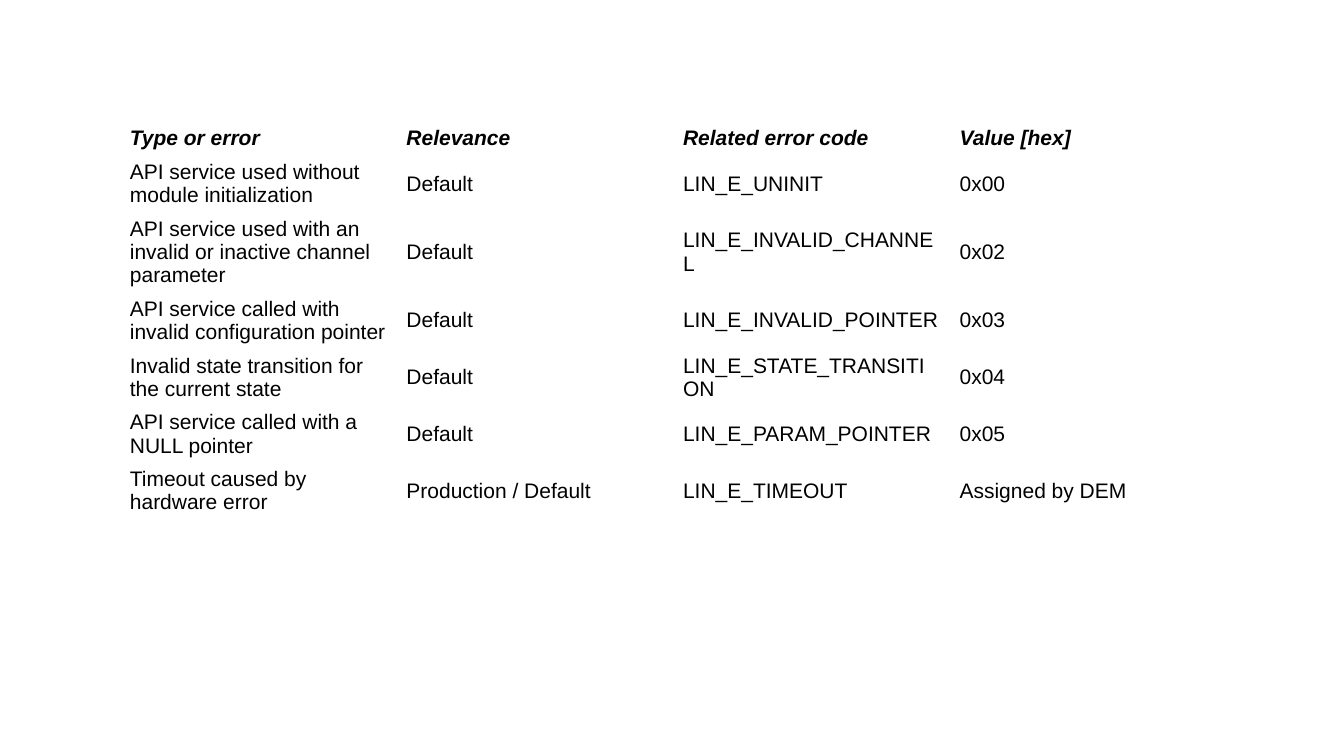
from pptx import Presentation
from pptx.dml.color import RGBColor
from pptx.enum.text import MSO_ANCHOR
from pptx.util import Cm, Pt

COLORS = {"text": "000000"}
ERRORS = [
    ("Type or error", "Relevance", "Related error code", "Value [hex]"),
    ("API service used without module initialization", "Default", "LIN_E_UNINIT", "0x00"),
    ("API service used with an invalid or inactive channel parameter", "Default",
     "LIN_E_INVALID_CHANNEL", "0x02"),
    ("API service called with invalid configuration pointer", "Default",
     "LIN_E_INVALID_POINTER", "0x03"),
    ("Invalid state transition for the current state", "Default",
     "LIN_E_STATE_TRANSITION", "0x04"),
    ("API service called with a NULL pointer", "Default", "LIN_E_PARAM_POINTER", "0x05"),
    ("Timeout caused by hardware error", "Production / Default", "LIN_E_TIMEOUT",
     "Assigned by DEM"),
]
LINES = [1, 2, 3, 2, 2, 2, 2]  # text lines in each row
LINE_H, PADDING = 0.59, 0.25
COL_W = 6.97

prs = Presentation()
prs.slide_width, prs.slide_height = Cm(33.87), Cm(19.05)
s = prs.slides.add_slide(prs.slide_layouts[6])

# Error table, without banding or fills
heights = [PADDING + LINE_H * n for n in LINES]
table = s.shapes.add_table(len(ERRORS), len(ERRORS[0]), Cm(3.02), Cm(3.07),
                           Cm(COL_W * len(ERRORS[0])), Cm(sum(heights))).table
table.first_row = table.horz_banding = False
for col in table.columns:
    col.width = Cm(COL_W)

for i, (row, height, values) in enumerate(zip(table.rows, heights, ERRORS)):
    row.height = Cm(height)
    for cell, value in zip(row.cells, values):
        cell.fill.background()
        cell.vertical_anchor = MSO_ANCHOR.MIDDLE
        cell.text_frame.text = value
        font = cell.text_frame.paragraphs[0].runs[0].font
        font.name, font.size = "Arial", Pt(15)
        font.color.rgb = RGBColor.from_string(COLORS["text"])
        font.bold = font.italic = i == 0  # header row

prs.save("out.pptx")
